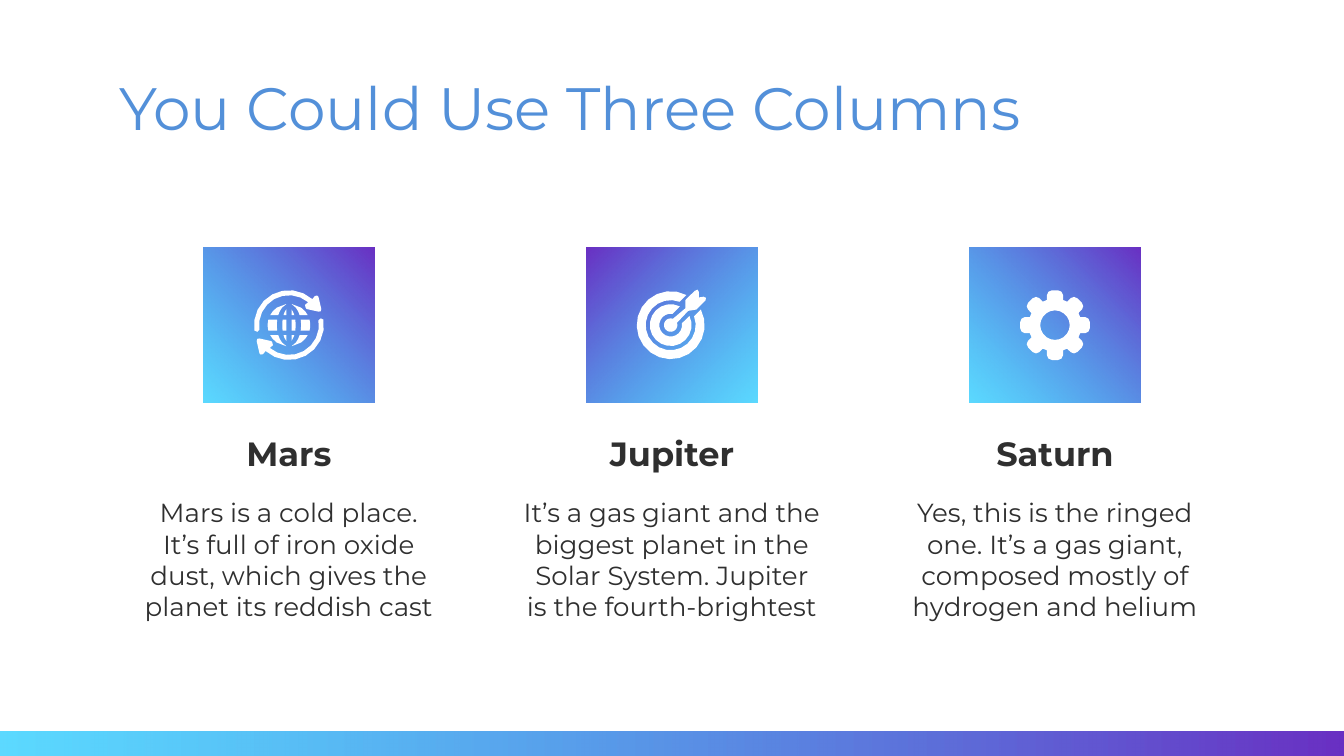
from math import asin, ceil, cos, degrees, radians, sin, sqrt

from lxml import etree
from pptx import Presentation
from pptx.dml.color import RGBColor
from pptx.enum.shapes import MSO_SHAPE as Shape
from pptx.enum.text import MSO_ANCHOR as Anchor, PP_ALIGN as Align
from pptx.oxml.ns import nsdecls
from pptx.util import Pt

COLORS = {"title": "5390D9", "text": "2F2F2F", "icon": "FFFFFF",
          "purple": "6930C3", "cyan": "00C4FF"}
TITLE = {"size": Pt(32), "bold": False, "color": "title"}
HEADING = {"size": Pt(18), "bold": True, "color": "text"}
BODY = {"size": Pt(14), "bold": False, "color": "text"}
LINEAR = '<a:lin ang="10800000" scaled="0"/>'
CORNER = '<a:path path="circle"><a:fillToRect {}/></a:path>'
TOP_LEFT = CORNER.format('r="100000" b="100000"')
TOP_RIGHT = CORNER.format('l="100000" b="100000"')


def add_gradient_box(slide, box, direction):
    """Draw a rectangle that fades from purple to translucent cyan."""
    panel = slide.shapes.add_shape(Shape.RECTANGLE, *map(Pt, box))
    panel.shadow.inherit = False
    panel.line.fill.background()
    gradient = etree.fromstring(
        f'<a:gradFill {nsdecls("a")} rotWithShape="1"><a:gsLst>'
        f'<a:gs pos="0"><a:srgbClr val="{COLORS["purple"]}"/></a:gs>'
        f'<a:gs pos="100000"><a:srgbClr val="{COLORS["cyan"]}">'
        f'<a:alpha val="64000"/></a:srgbClr></a:gs></a:gsLst>{direction}</a:gradFill>')
    panel.fill.background()
    properties = panel.element.spPr
    no_fill = properties.find("{*}noFill")
    properties.replace(no_fill, gradient)


def add_text(slide, box, wording, style, align=Align.CENTER, anchor=Anchor.TOP):
    """Place wrapped text, one paragraph for each line of wording."""
    frame = slide.shapes.add_textbox(*map(Pt, box)).text_frame
    margins = {f"margin_{side}": Pt(7.2) for side in ("left", "right", "top", "bottom")}
    layout = {"word_wrap": True, "vertical_anchor": anchor, **margins}
    for name, value in layout.items():
        setattr(frame, name, value)
    frame.text = wording
    for paragraph in frame.paragraphs:
        paragraph.alignment = align
        for run in paragraph.runs:
            for name, value in {"name": "Montserrat", "size": style["size"],
                                "bold": style["bold"]}.items():
                setattr(run.font, name, value)
            run.font.color.rgb = RGBColor.from_string(COLORS[style["color"]])


def add_outline(slide, center, *contours):
    """Draw closed contours, given around a center, as one white outline."""
    def place(point):
        return tuple(Pt(middle + offset) for middle, offset in zip(center, point))

    builder = slide.shapes.build_freeform(*place(contours[0][0]), scale=1.0)
    for number, contour in enumerate(contours):
        if number:
            builder.move_to(*place(contour[0]))
        builder.add_line_segments([place(point) for point in contour[1:]], close=True)
    outline = builder.convert_to_shape()
    outline.shadow.inherit = False
    outline.fill.solid()
    outline.fill.fore_color.rgb = RGBColor.from_string(COLORS["icon"])
    outline.line.fill.background()
    return outline


def arc(radius, start, end):
    """Return points along an arc, with clockwise angles in degrees."""
    steps = ceil(abs(end - start) / 18)
    angles = [radians(start + (end - start) * step / steps) for step in range(steps + 1)]
    return [(radius * cos(angle), radius * sin(angle)) for angle in angles]


def meridian_cell(inner, outer, top, bottom):
    """Return a globe cell between two meridians and two latitudes."""
    def edge(meridian, y):
        width, height = meridian
        return max(1.4, width * sqrt(max(0, 1 - (y / height) ** 2)))

    levels = [top + (bottom - top) * step / 3 for step in range(4)]
    return ([(edge(outer, y), y) for y in levels]
            + [(edge(inner, y), y) for y in reversed(levels)])


def draw_globe(slide, center):
    """Draw a gridded globe with two arrows circling it."""
    head = [(13.9, -15.6), (15.1, -15.8), (15.8, -15.1), (17.3, -8.6), (17, -7.4),
            (15.8, -7.2), (9.4, -8.6), (8.9, -9.4), (8.6, -10.8)]
    orbit = arc(18.7, 171, 312) + head + arc(16, 310, 171) + [(-17, 3.6)]
    pieces = [orbit, [(-x, -y) for x, y in orbit]]
    for inner, outer, pole in (((0, 9), (3.6, 9), 8.4), ((6.5, 11.4), (11.4, 11.4), 11.3)):
        for top, bottom in ((-pole, -5.4), (-2.9, 2.9), (5.4, pole)):
            cell = meridian_cell(inner, outer, top, bottom)
            pieces += [cell, [(-x, y) for x, y in cell]]
    slide.shapes.add_group_shape([add_outline(slide, center, piece) for piece in pieces])


def draw_target(slide, center):
    """Draw a target of two open rings with a dart in the middle."""
    center = (center[0] - 0.7, center[1])
    dart = [(7.9, -9), (7.9, -13.3), (8.6, -14.2), (13, -18.4), (14.4, -19),
            (15.1, -17.8), (15.1, -14.8), (17.6, -15.2), (18.9, -14.6),
            (18.7, -13.3), (13.7, -8.3), (9.4, -7.6)]
    pieces = [arc(3.6, -20, 290) + dart]
    for outer, inner, gap in ((11.2, 6.1, 3.6), (18.2, 13.4, 5.5)):
        wide, narrow = (degrees(asin(gap / radius)) for radius in (outer, inner))
        pieces.append(arc(outer, wide - 45, 315 - wide)
                      + arc(inner, 315 - narrow, narrow - 45))
    slide.shapes.add_group_shape([add_outline(slide, center, piece) for piece in pieces])


def draw_gear(slide, center):
    """Draw a gear with eight rounded teeth and a round hole."""
    half = [(13.5, 4.3), (16.2, 4.3), (17.9, 3.5), (18.7, 1.6)]
    tooth = [(x, -y) for x, y in half] + half[::-1]
    rim = []
    for turn in range(8):
        c, s = cos(radians(45 * turn)), sin(radians(45 * turn))
        rim += [(x * c - y * s, x * s + y * c) for x, y in tooth]
    add_outline(slide, center, rim, arc(7.9, 360, 0)[:-1])


def add_planet(slide, box, planet):
    """Place a planet's icon tile, heading and description in a column."""
    left, top, width, height = box
    name, description, focus, draw_icon = planet
    tile_width, tile_height = 92, 82.8
    middle = left + width / 2
    add_gradient_box(slide, (middle - tile_width / 2, top, tile_width, tile_height), focus)
    draw_icon(slide, (middle, top + tile_height / 2))
    add_text(slide, (left, top + 95.3, width, 29.5), name, HEADING, anchor=Anchor.MIDDLE)
    add_text(slide, (left, top + 126, width, height - 126), description, BODY)


def build_columns_slide(deck, box):
    """Add the title, three planet columns and the bottom band."""
    left, top, width, height = box
    slide = deck.slides.add_slide(deck.slide_layouts[6])
    band = 13.3
    add_gradient_box(slide, (left, top + height - band, width, band), LINEAR)
    planets = (
        ("Mars", "Mars is a cold place. It’s full of iron oxide dust, which gives "
         "the planet its reddish cast", TOP_RIGHT, draw_globe),
        ("Jupiter", "It’s a gas giant and the\nbiggest planet in the Solar System. "
         "Jupiter is the fourth-brightest", TOP_LEFT, draw_target),
        ("Saturn", "Yes, this is the ringed one. It’s a gas giant, composed mostly "
         "of hydrogen and helium", TOP_RIGHT, draw_gear),
    )
    column, pitch = 174.2, 205.2
    first = left + (width - column) / 2 - pitch
    for number, planet in enumerate(planets):
        add_planet(slide, (first + number * pitch, top + 132.8, column, 211), planet)
    add_text(slide, (left + 56.7, top + 30.6, 607, 45.4), "You Could Use Three Columns",
             TITLE, align=Align.LEFT)


def main():
    """Build and save the deck."""
    deck = Presentation()
    deck.slide_width, deck.slide_height = Pt(720), Pt(405)
    build_columns_slide(deck, (0, 0, 720, 405))
    deck.save("out.pptx")


if __name__ == "__main__":
    main()
